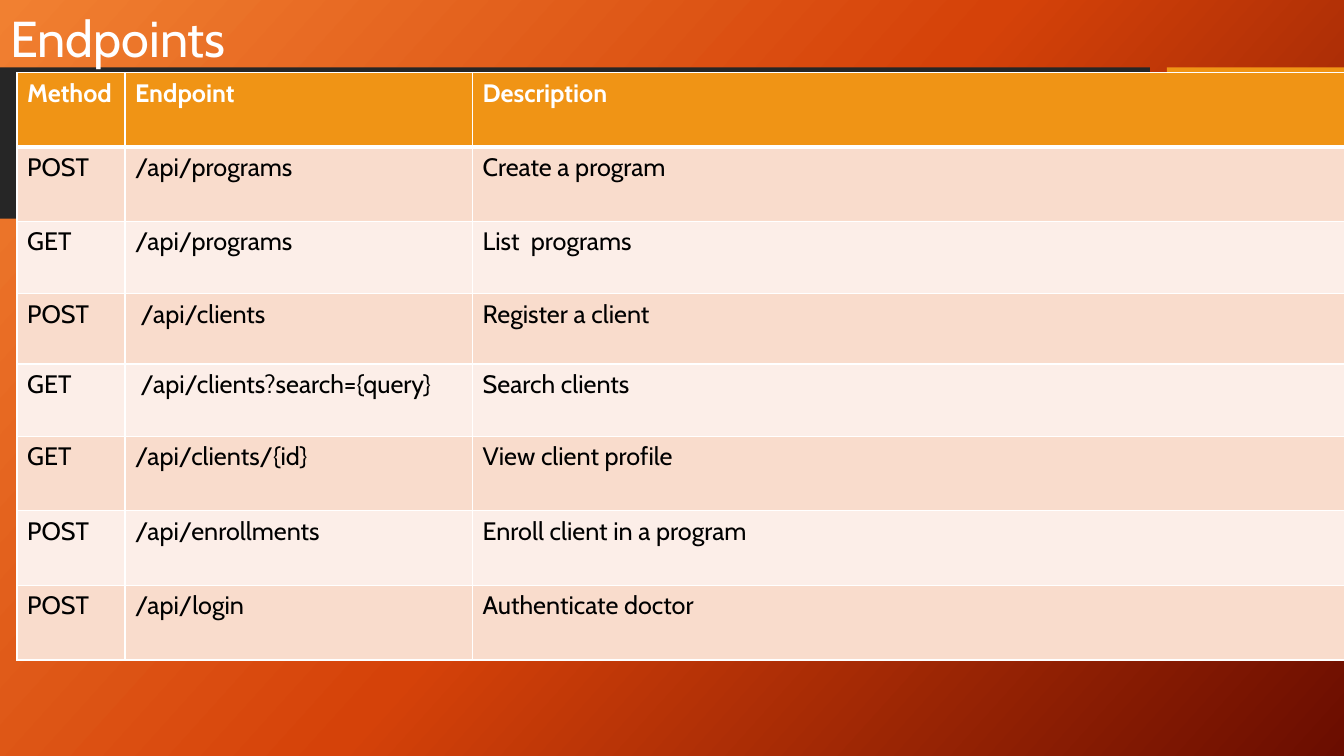
from copy import deepcopy

from pptx import Presentation
from pptx.dml.color import RGBColor
from pptx.enum.shapes import MSO_SHAPE
from pptx.enum.text import MSO_ANCHOR, MSO_AUTO_SIZE, PP_ALIGN
from pptx.oxml import parse_xml
from pptx.oxml.ns import nsdecls, qn
from pptx.util import Cm, Pt

ENDPOINTS = [
    ("Method", "Endpoint", "Description"),
    ("POST", "/api/programs", "Create a program"),
    ("GET", "/api/programs", "List  programs"),
    ("POST", " /api/clients", "Register a client"),
    ("GET", " /api/clients?search={query}", "Search clients"),
    ("GET", "/api/clients/{id}", "View client profile"),
    ("POST", "/api/enrollments", "Enroll client in a program"),
    ("POST", "/api/login", "Authenticate doctor"),
]
COLUMN_WIDTHS = [2.72, 8.76, 21.97]
ROW_HEIGHTS = [1.87, 1.88, 1.82, 1.77, 1.82, 1.88, 1.88, 1.88]


def color(hex_code):
    return RGBColor.from_string(hex_code)


class SlideBuilder:
    font = "Cabin"
    white, black = "FFFFFF", "000000"
    dark, accent = "262626", "F09415"
    bands = ("FCEEE8", "F9DCCC")
    backdrop = [(0, "F18031"), (0.5, "D54209"), (1, "6A0D00")]

    def __init__(self, slide):
        self.slide = slide

    def background(self):
        fill = self.slide.background.fill
        fill.gradient()
        fill.gradient_angle = 360 - 42
        first_stop = next(self.slide.element.iter(qn("a:gs")))
        first_stop.addnext(deepcopy(first_stop))
        for stop, (position, shade) in zip(fill.gradient_stops, self.backdrop):
            stop.position = position
            stop.color.rgb = color(shade)

    def bar(self, left, width, shade):
        bar = self.slide.shapes.add_shape(
            MSO_SHAPE.RECTANGLE, Cm(left), Cm(1.7), Cm(width), Cm(3.81))
        bar.shadow.inherit = False
        bar.fill.solid()
        bar.fill.fore_color.rgb = color(shade)
        bar.line.fill.background()

    def style_text(self, paragraph, size, shade, bold=False):
        for run in paragraph.runs:
            run.font.name = self.font
            run.font.size = Pt(size)
            run.font.bold = bold
            run.font.color.rgb = color(shade)

    def title(self, wording):
        """Fill the title placeholder and bring it in front of the bars."""
        title = self.slide.shapes.title
        title.left, title.top, title.width, title.height = Cm(0), Cm(0), Cm(28.6), Cm(2.1)
        frame = title.text_frame
        frame.text = wording
        frame.word_wrap = True
        frame.auto_size = MSO_AUTO_SIZE.NONE
        frame.vertical_anchor = MSO_ANCHOR.MIDDLE
        heading = frame.paragraphs[0]
        heading.alignment = PP_ALIGN.LEFT
        heading.line_spacing = 0.9
        self.style_text(heading, 36, self.white)
        self.slide.shapes.element.append(title.element)

    def borders(self, cell, top, bottom):
        properties = cell._tc.get_or_add_tcPr()
        sides = [("lnL", 1), ("lnR", 1), ("lnT", top), ("lnB", bottom)]
        for index, (side, points) in enumerate(sides):
            properties.insert(index, parse_xml(
                f'<a:{side} {nsdecls("a")} w="{Pt(points)}"><a:solidFill>'
                f'<a:srgbClr val="{self.white}"/></a:solidFill></a:{side}>'))

    def table(self, rows, widths, heights):
        table = self.slide.shapes.add_table(
            len(rows), len(widths), Cm(0.43), Cm(1.83),
            Cm(sum(widths)), Cm(sum(heights))).table
        for column, width in zip(table.columns, widths):
            column.width = Cm(width)
        for index, (row, height, entries) in enumerate(zip(table.rows, heights, rows)):
            row.height = Cm(height)
            header = index == 0
            for cell, entry in zip(row.cells, entries):
                cell.text = entry
                self.style_text(cell.text_frame.paragraphs[0], 18,
                                self.white if header else self.black, header)
                cell.fill.solid()
                cell.fill.fore_color.rgb = color(
                    self.accent if header else self.bands[index % 2])
                self.borders(cell, top=3 if index == 1 else 1, bottom=3 if header else 1)


def main():
    deck = Presentation()
    deck.slide_width, deck.slide_height = Cm(33.87), Cm(19.05)
    builder = SlideBuilder(deck.slides.add_slide(deck.slide_layouts[5]))
    builder.background()
    builder.bar(0, 28.98, builder.dark)
    builder.bar(29.41, 4.46, builder.accent)
    builder.title("Endpoints")
    builder.table(ENDPOINTS, COLUMN_WIDTHS, ROW_HEIGHTS)
    deck.save("out.pptx")


if __name__ == "__main__":
    main()
